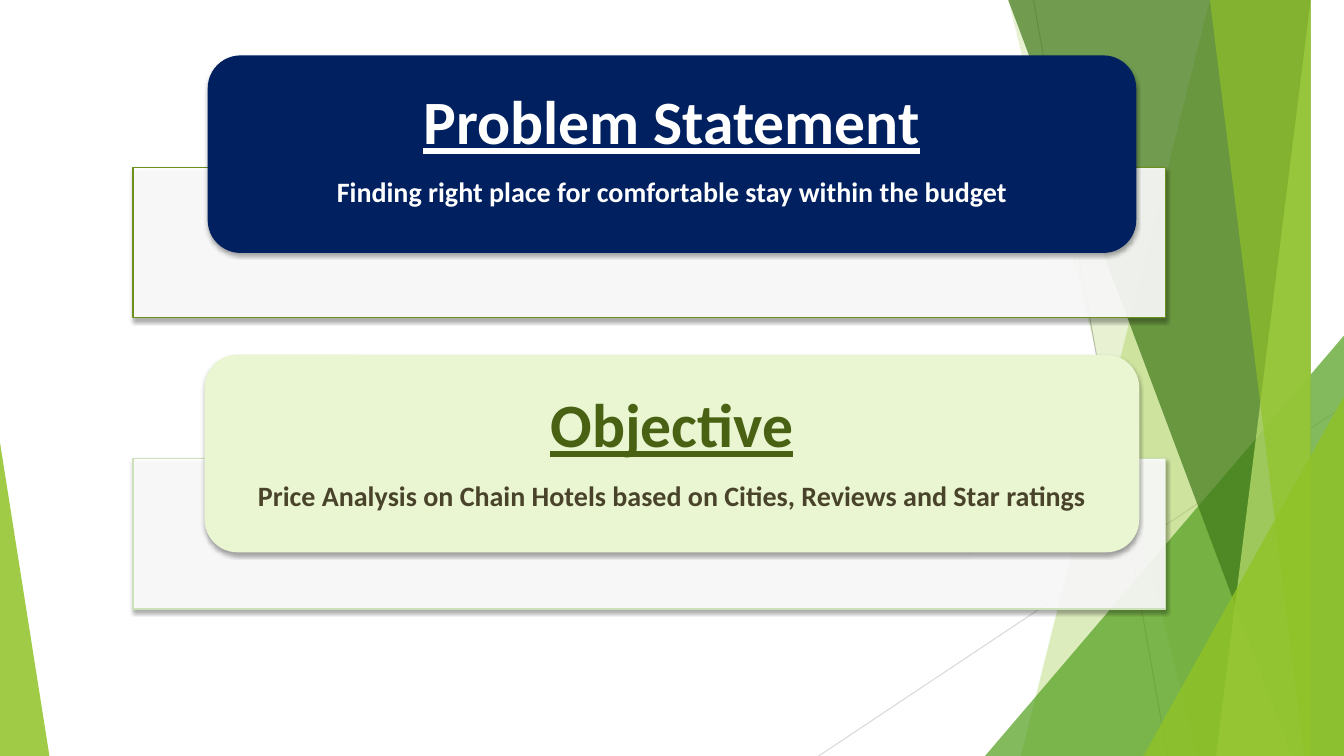
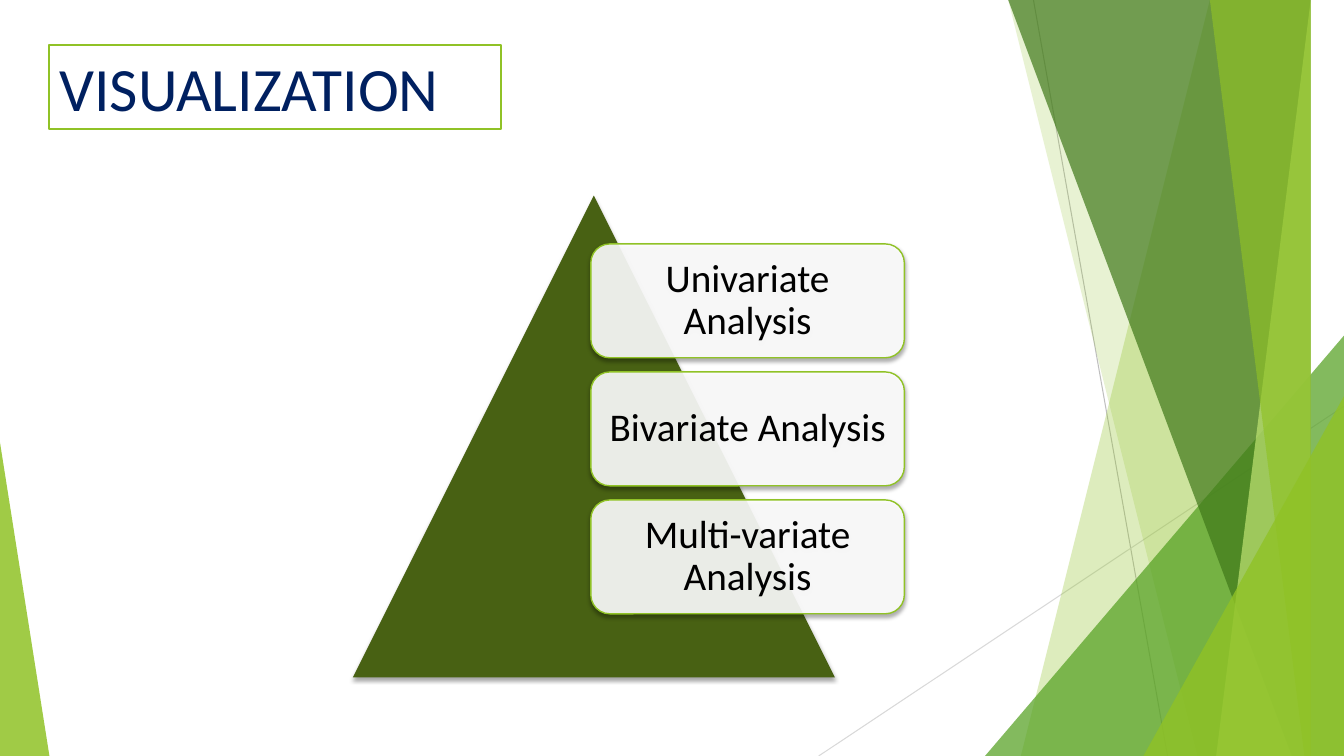
from lxml import etree
from pptx import Presentation
from pptx.dml.color import RGBColor
from pptx.enum.shapes import MSO_CONNECTOR, MSO_SHAPE
from pptx.enum.text import MSO_ANCHOR, PP_ALIGN
from pptx.oxml.ns import qn
from pptx.util import Inches, Pt

RECT, ROUNDED = MSO_SHAPE.RECTANGLE, MSO_SHAPE.ROUNDED_RECTANGLE
TRIANGLE = MSO_SHAPE.ISOSCELES_TRIANGLE
STRAIGHT = MSO_CONNECTOR.STRAIGHT
MIDDLE = MSO_ANCHOR.MIDDLE
LEFT, CENTER = PP_ALIGN.LEFT, PP_ALIGN.CENTER

COLORS = {
    "white": "FFFFFF", "black": "000000", "navy": "002060",
    "lime": "90C226", "pale lime": "C0E474", "green": "54A021",
    "deep green": "3F7819", "olive": "486113", "olive edge": "6B901C",
    "sage edge": "CEE0BA", "mint": "EAF6D1", "brown": "48432A",
    "gray": "BFBFBF", "light gray": "D9D9D9",
}
FONT = "Calibri"
WIDTH, HEIGHT = 13.33, 7.5


def style(shape, fill, opacity=100, edge=None, edge_width=1, shadow=False):
    """Set fill, outline and, where wanted, a soft shadow below."""
    shape.fill.solid()
    shape.fill.fore_color.rgb = RGBColor.from_string(COLORS[fill])
    if opacity < 100:
        color = shape.element.spPr.find(qn("a:solidFill"))[0]
        etree.SubElement(color, qn("a:alpha"), val=str(opacity * 1000))
    if edge:
        shape.line.color.rgb = RGBColor.from_string(COLORS[edge])
        shape.line.width = Pt(edge_width)
    else:
        shape.line.fill.background()
    shape.shadow.inherit = False
    if shadow:
        effects = shape.element.spPr.find(qn("a:effectLst"))
        outer = etree.SubElement(
            effects, qn("a:outerShdw"), blurRad=str(Pt(3)), dist=str(Pt(2)),
            dir="5400000", rotWithShape="0")
        black = etree.SubElement(outer, qn("a:srgbClr"), val=COLORS["black"])
        etree.SubElement(black, qn("a:alpha"), val="35000")


def write(shape, paragraphs, align=CENTER, inset=0.1, bottom=0):
    """Fill a shape with (text, color, space after, font format) paragraphs."""
    frame = shape.text_frame
    frame.word_wrap = True
    frame.vertical_anchor = MIDDLE
    frame.margin_left = frame.margin_right = Inches(inset)
    frame.margin_top, frame.margin_bottom = 0, Inches(bottom)
    for i, (text, color, space, font_format) in enumerate(paragraphs):
        paragraph = frame.add_paragraph() if i else frame.paragraphs[0]
        paragraph.alignment = align
        paragraph.line_spacing = 0.9 if align == CENTER else 1.0
        paragraph.space_after = Pt(space)
        run = paragraph.add_run()
        run.text = text
        run.font.name = FONT
        run.font.color.rgb = RGBColor.from_string(COLORS[color])
        for attribute, value in font_format.items():
            setattr(run.font, attribute, value)


prs = Presentation()
prs.slide_width, prs.slide_height = Inches(WIDTH), Inches(HEIGHT)
goals, visualization = [prs.slides.add_slide(prs.slide_layouts[6]) for _ in range(2)]

# Shared backdrop: thin lines, then facets from back to front
BACKDROP_LINES = [
    (10.25, 0, 11.58, HEIGHT, "gray"),
    (WIDTH, 4.03, 8.12, HEIGHT, "light gray"),
]
# Bands: top x, bottom x, color, opacity; each reaches the right edge
# Wedges: left, top, width, apex position, color, opacity; each reaches the bottom
FACETS = [
    ("band", 12.28, 10.04, "lime", 30),
    ("band", 10.5, 11.83, "lime", 20),
    ("wedge", 9.77, 3.33, 3.56, 1, "green", 72),
    ("band", 10.21, 12.91, "deep green", 70),
    ("band", 13.03, 11.92, "pale lime", 70),
    ("band", 11.96, 13.18, "lime", 65),
    ("wedge", 11.34, 3.93, 1.99, 1, "lime", 80),
    ("wedge", 0, 4.39, 0.49, 0, "lime", 85),
]
for slide in (goals, visualization):
    for x1, y1, x2, y2, color in BACKDROP_LINES:
        line = slide.shapes.add_connector(
            STRAIGHT, Inches(x1), Inches(y1), Inches(x2), Inches(y2))
        line.line.color.rgb = RGBColor.from_string(COLORS[color])
        line.line.width = Pt(0.75)
        etree.SubElement(line.element.spPr, qn("a:effectLst"))
    for kind, *geometry, color, opacity in FACETS:
        if kind == "band":
            top_x, bottom_x = geometry
            outline = slide.shapes.build_freeform(top_x, 0, scale=Inches(1))
            outline.add_line_segments(
                [(WIDTH, 0), (WIDTH, HEIGHT), (bottom_x, HEIGHT)], close=True)
            facet = outline.convert_to_shape()
        else:
            left, top, width, apex = geometry
            facet = slide.shapes.add_shape(
                TRIANGLE, Inches(left), Inches(top), Inches(width), Inches(HEIGHT - top))
            facet.adjustments[0] = apex
        style(facet, color, opacity)

# Slide 1: problem and objective cards, each over a pale panel
HEADING = {"size": Pt(44), "bold": True, "underline": True}
DETAIL = {"size": Pt(20), "bold": True}
CARDS = [
    (1.66, "olive edge", 2.06, 0.55, 9.21, "navy", 0.08,
     "Problem Statement", "white",
     "Finding right place for comfortable stay within the budget", "white"),
    (4.55, "sage edge", 2.03, 3.52, 9.27, "mint", 0,
     "Objective", "olive",
     "Price Analysis on Chain Hotels based on Cities, Reviews and Star ratings", "brown"),
]
for (panel_top, edge, left, top, width, fill, bottom,
     heading, heading_color, detail, detail_color) in CARDS:
    panel = goals.shapes.add_shape(
        RECT, Inches(1.32), Inches(panel_top), Inches(10.24), Inches(1.49))
    style(panel, "white", 90, edge, shadow=True)
    card = goals.shapes.add_shape(
        ROUNDED, Inches(left), Inches(top), Inches(width), Inches(1.96))
    style(card, fill, shadow=True)
    write(card, [(heading, heading_color, 15, HEADING),
                 (detail, detail_color, 0, DETAIL)], inset=0.27, bottom=bottom)

# Slide 2: title box
title = visualization.shapes.add_shape(
    RECT, Inches(0.49), Inches(0.45), Inches(4.48), Inches(0.83))
style(title, "white", edge="lime", edge_width=1.5)
write(title, [("VISUALIZATION", "navy", 0, {"size": Pt(44)})], align=LEFT)

# Slide 2: pyramid with the kinds of analysis
pyramid = visualization.shapes.add_shape(
    TRIANGLE, Inches(3.5), Inches(1.94), Inches(4.78), Inches(4.78))
style(pyramid, "olive", shadow=True)
ANALYSES = ["Univariate Analysis", "Bivariate Analysis", "Multi-variate Analysis"]
for i, analysis in enumerate(ANALYSES):
    step = visualization.shapes.add_shape(
        ROUNDED, Inches(5.86), Inches(2.42 + 1.27 * i), Inches(3.11), Inches(1.13))
    style(step, "white", 90, "lime", shadow=True)
    write(step, [(analysis, "black", 0, {"size": Pt(28)})], inset=0.12)

prs.save("out.pptx")
